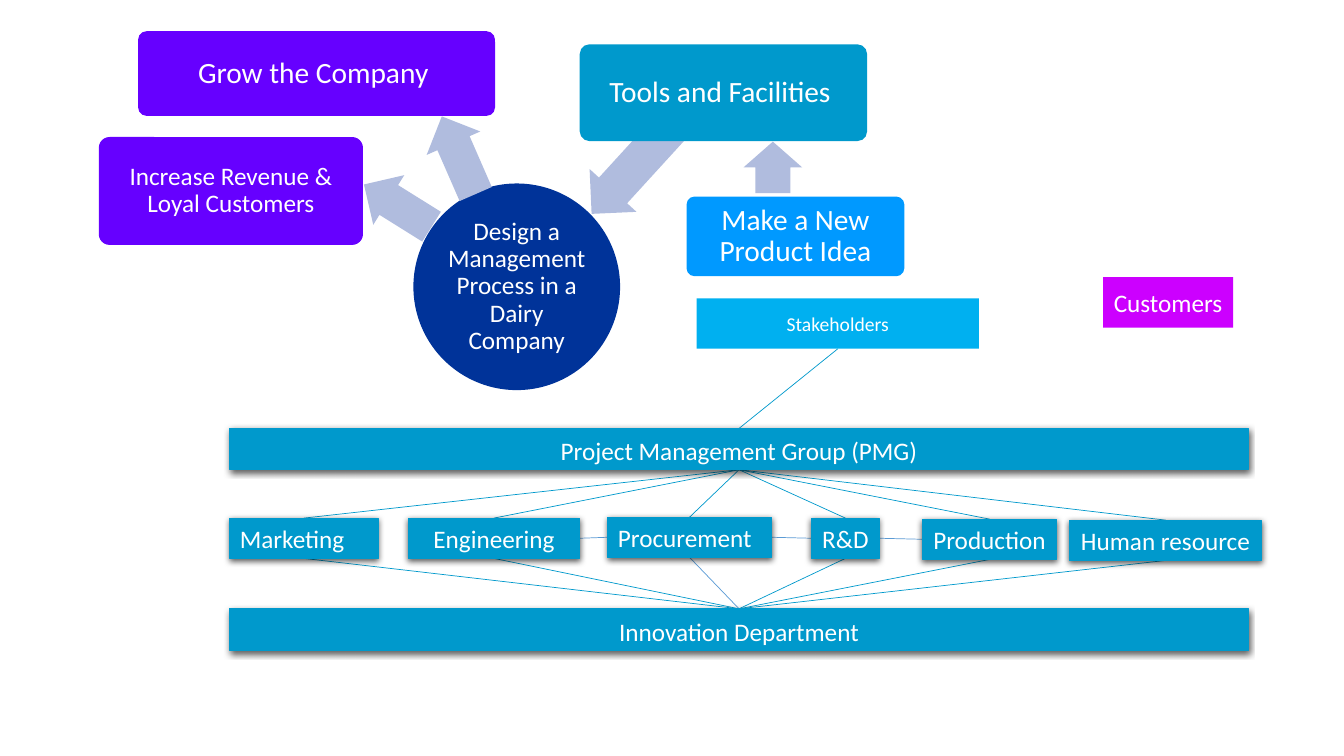
from lxml import etree
from pptx import Presentation
from pptx.dml.color import RGBColor
from pptx.enum import shapes, text
from pptx.oxml.ns import qn
from pptx.util import Inches, Pt

COLORS = {
    "teal": "0099CC", "link": "5B9BD5", "navy": "003399", "violet": "6600FF",
    "blue": "0099FF", "sky": "00B0F0", "magenta": "CC00FF", "arrow": "B0BCDE",
    "white": "FFFFFF", "shadow": "000000",
}
KIND = shapes.MSO_SHAPE
CENTER, LEFT = text.PP_ALIGN.CENTER, text.PP_ALIGN.LEFT
HUB_X, PMG_TOP, PMG_BOTTOM, INNOVATION_TOP = 7.33, 4.25, 4.66, 6.04
BAR_LEFT, BAR_WIDTH, BAR_HEIGHT, DEPT_HEIGHT = 2.28, 10.1, 0.41, 0.4

DEPARTMENTS = [
    ("Marketing", 2.28, 5.14, 1.47, LEFT),
    ("Engineering", 4.05, 5.14, 1.7, CENTER),
    ("Procurement", 6.03, 5.13, 1.62, LEFT),
    ("R&D", 8.05, 5.14, 0.67, CENTER),
    ("Production", 9.15, 5.15, 1.33, CENTER),
    ("Human resource", 10.61, 5.16, 1.9, CENTER),
]
ARROWS = [
    (3.55, 1.75, 0.79, 0.58, 32),
    (4.13, 1.25, 0.84, 0.58, 66.4),
    (7.41, 1.37, 0.51, 0.58, 90),
    (5.64, 1.29, 1.4, 0.63, 312.4),
]
IDEAS = [
    ("Design a Management Process in a Dairy Company", KIND.OVAL,
     (4.1, 1.82, 2.05, 2.05), "navy", 18, 0.01),
    ("Increase Revenue & Loyal Customers", KIND.ROUNDED_RECTANGLE,
     (0.98, 1.36, 2.62, 1.07), "violet", 18, 0.04),
    ("Grow the Company ", KIND.ROUNDED_RECTANGLE,
     (1.37, 0.31, 3.54, 0.84), "violet", 21, 0.04),
    ("Make a New Product Idea", KIND.ROUNDED_RECTANGLE,
     (6.81, 1.95, 2.16, 0.79), "blue", 21, 0.04),
    ("Tools and Facilities ", KIND.ROUNDED_RECTANGLE,
     (5.75, 0.44, 2.85, 0.96), "teal", 21, 0.04),
]
CALLOUTS = [
    ("Stakeholders", (6.91, 2.96, 2.8, 0.5), "sky", 14),
    ("Customers", (10.94, 2.75, 1.29, 0.5), "magenta", 18),
]


def rgb(name):
    return RGBColor.from_string(COLORS[name])


def set_all(target, values):
    for name, value in values.items():
        setattr(target, name, value)


def add_shape(s, kind, box, fill):
    sp = s.shapes.add_shape(kind, *map(Inches, box))
    sp.shadow.inherit = False
    sp.fill.solid()
    sp.fill.fore_color.rgb = rgb(fill)
    sp.line.fill.background()
    return sp


def write(sp, words, size, frame=None, para=None):
    tf = sp.text_frame
    set_all(tf, {"word_wrap": True,
                 "vertical_anchor": text.MSO_ANCHOR.MIDDLE, **(frame or {})})
    p = tf.paragraphs[0]
    set_all(p, {"alignment": CENTER, **(para or {})})
    r = p.add_run()
    r.text = words
    set_all(r.font, {"name": "Calibri", "size": Pt(size)})
    r.font.color.rgb = rgb("white")


def add_drop_shadow(sp):
    effects = sp._element.spPr.find(qn("a:effectLst"))
    outer = etree.SubElement(
        effects, qn("a:outerShdw"), blurRad=str(Pt(4.5)), dist=str(Pt(1.5)),
        dir="5400000", algn="ctr", rotWithShape="0")
    color = etree.SubElement(outer, qn("a:srgbClr"), val=COLORS["shadow"])
    etree.SubElement(color, qn("a:alpha"), val="63000")


def add_org_box(s, words, box, para):
    sp = add_shape(s, KIND.RECTANGLE, box, "teal")
    sp.line.color.rgb = rgb("teal")
    sp.line.width = Pt(0.75)
    add_drop_shadow(sp)
    write(sp, words, 18, {"vertical_anchor": text.MSO_ANCHOR.TOP,
                          "auto_size": text.MSO_AUTO_SIZE.SHAPE_TO_FIT_TEXT}, para)


def add_line(s, start, end, color="teal"):
    line = s.shapes.add_connector(
        shapes.MSO_CONNECTOR.STRAIGHT, *map(Inches, start + end))
    line.line.color.rgb = rgb(color)
    line.line.width = Pt(0.5)
    etree.SubElement(line._element.spPr, qn("a:effectLst"))


def add_org_chart(s):
    for name, left, top, width, align in DEPARTMENTS:
        middle = left + width / 2
        add_line(s, (HUB_X, PMG_BOTTOM), (middle, top))
        add_line(s, (middle, top + DEPT_HEIGHT), (HUB_X, INNOVATION_TOP),
                 "link" if name == "Procurement" else "teal")
    for a, b in zip(DEPARTMENTS[1:4], DEPARTMENTS[2:5]):
        add_line(s, (a[1] + a[3], a[2] + DEPT_HEIGHT / 2),
                 (b[1], b[2] + DEPT_HEIGHT / 2), "link")
    add_line(s, (8.31, 3.46), (HUB_X, PMG_TOP))
    for words, top in (("Project Management Group (PMG)", PMG_TOP),
                       ("Innovation Department", INNOVATION_TOP)):
        add_org_box(s, words, (BAR_LEFT, top, BAR_WIDTH, BAR_HEIGHT),
                    {"line_spacing": 1.07, "space_after": Pt(8)})
    for name, left, top, width, align in DEPARTMENTS:
        add_org_box(s, name, (left, top, width, DEPT_HEIGHT), {"alignment": align})


def add_idea(s, words, kind, box, fill, size, margin):
    sp = add_shape(s, kind, box, fill)
    if kind == KIND.ROUNDED_RECTANGLE:
        sp.adjustments[0] = 0.1
    sides = ("left", "right", "top", "bottom")
    write(sp, words, size, {f"margin_{side}": Inches(margin) for side in sides},
          {"line_spacing": 0.9})


def add_arrow(s, left, top, width, height, angle):
    sp = add_shape(s, KIND.LEFT_ARROW, (left, top, width, height), "arrow")
    sp.adjustments[0], sp.adjustments[1] = 0.6, 0.5
    sp.rotation = angle


def main():
    prs = Presentation()
    set_all(prs, {"slide_width": Inches(13.33), "slide_height": Inches(7.5)})
    s = prs.slides.add_slide(prs.slide_layouts[6])
    add_org_chart(s)
    for idea in IDEAS[:1]:
        add_idea(s, *idea)
    for arrow in ARROWS:
        add_arrow(s, *arrow)
    for idea in IDEAS[1:]:
        add_idea(s, *idea)
    for words, box, fill, size in CALLOUTS:
        write(add_shape(s, KIND.RECTANGLE, box, fill), words, size)
    prs.save("out.pptx")


if __name__ == "__main__":
    main()
